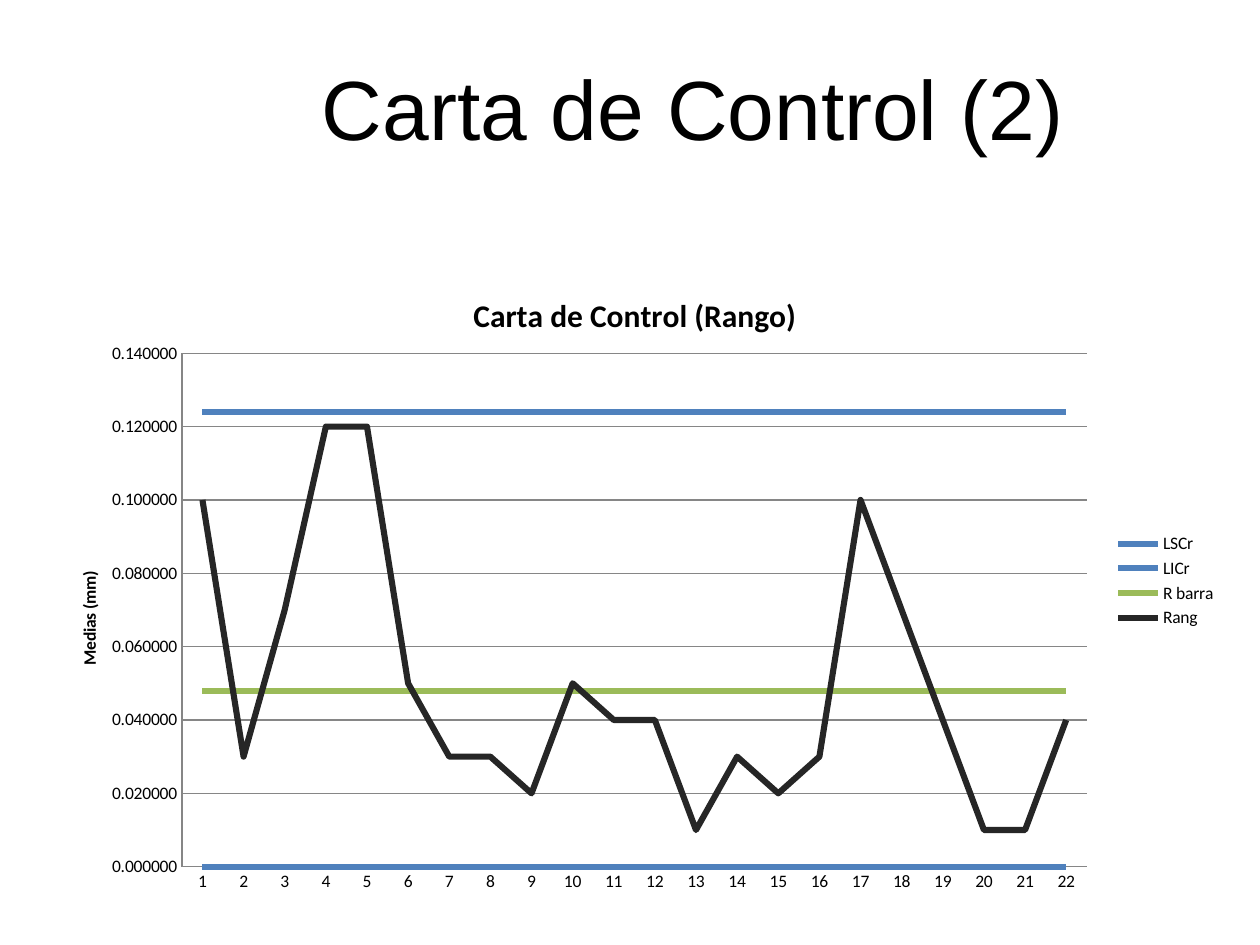
from lxml.etree import SubElement
from pptx import Presentation
from pptx.chart.data import CategoryChartData
from pptx.dml.color import RGBColor
from pptx.enum.chart import XL_CHART_TYPE, XL_LEGEND_POSITION, XL_MARKER_STYLE, XL_TICK_MARK
from pptx.enum.text import MSO_ANCHOR, PP_ALIGN
from pptx.oxml.ns import qn
from pptx.util import Inches, Pt

BLACK = RGBColor(0x00, 0x00, 0x00)
GRAY = RGBColor(0x86, 0x86, 0x86)
BLUE = RGBColor(0x4F, 0x81, 0xBD)
GREEN = RGBColor(0x9B, 0xBB, 0x59)
CHARCOAL = RGBColor(0x26, 0x26, 0x26)

RANGES = [0.1, 0.03, 0.07, 0.12, 0.12, 0.05, 0.03, 0.03, 0.02, 0.05, 0.04,
          0.04, 0.01, 0.03, 0.02, 0.03, 0.1, 0.07, 0.04, 0.01, 0.01, 0.04]
SAMPLES = len(RANGES)
CONTROL_LINES = [
    ("LSCr", [0.124] * SAMPLES, BLUE),
    ("LICr", [0] * SAMPLES, BLUE),
    ("R barra", [0.048] * SAMPLES, GREEN),
    ("Rang", RANGES, CHARCOAL),
]


def style_font(font, name, size, bold=False):
    font.name = name
    font.size = Pt(size)
    font.bold = bold
    font.color.rgb = BLACK


def place_in_chart(element, index, **shares):
    for previous in element.findall(qn("c:layout")):
        element.remove(previous)
    layout = SubElement(element, qn("c:layout"))
    element.insert(index, layout)
    manual = SubElement(layout, qn("c:manualLayout"))
    if "w" in shares:
        SubElement(manual, qn("c:layoutTarget")).set("val", "inner")
    for side in ("x", "y"):
        SubElement(manual, qn(f"c:{side}Mode")).set("val", "edge")
    for side, share in shares.items():
        SubElement(manual, qn(f"c:{side}")).set("val", str(share))


def write_heading(heading, text):
    heading.left, heading.top = Inches(2.42), Inches(0.39)
    heading.width, heading.height = Inches(6.16), Inches(0.91)
    frame = heading.text_frame
    frame.text = text
    frame.word_wrap = False
    frame.vertical_anchor = MSO_ANCHOR.MIDDLE
    paragraph = frame.paragraphs[0]
    paragraph.alignment = PP_ALIGN.CENTER
    style_font(paragraph.font, "Arial", 48)


def write_chart_title(title, text, size, x, y):
    title.text_frame.text = text
    style_font(title.text_frame.paragraphs[0].font, "Calibri", size, bold=True)
    place_in_chart(title.element if hasattr(title, "element") else title._element,
                   1, x=x, y=y)


def style_axis(axis):
    axis.major_tick_mark = XL_TICK_MARK.NONE
    axis.minor_tick_mark = XL_TICK_MARK.NONE
    axis.format.line.color.rgb = GRAY
    axis.format.line.width = Pt(0.75)


def style_value_axis(axis):
    style_axis(axis)
    axis.minimum_scale, axis.maximum_scale = 0, 0.14
    axis.major_unit = 0.02
    axis.has_major_gridlines = True
    axis.major_gridlines.format.line.color.rgb = GRAY
    axis.major_gridlines.format.line.width = Pt(0.75)
    axis.tick_labels.number_format = "0.000000"
    axis.tick_labels.number_format_is_linked = False
    write_chart_title(axis.axis_title, "Medias (mm)", 10, x=0.03, y=0.48)


def add_control_chart(slide):
    control_data = CategoryChartData(number_format="0.000000")
    control_data.categories = [str(sample + 1) for sample in range(SAMPLES)]
    for name, values, _ in CONTROL_LINES:
        control_data.add_series(name, values)
    chart = slide.shapes.add_chart(
        XL_CHART_TYPE.LINE, Inches(0.31), Inches(2.03),
        Inches(9.45), Inches(5.16), control_data).chart
    style_font(chart.font, "Calibri", 10)
    chart.has_title = True
    write_chart_title(chart.chart_title, "Carta de Control (Rango)", 18, x=0.36, y=0.05)
    chart.chart_title.include_text_frame = True
    chart.has_legend = True
    chart.legend.position = XL_LEGEND_POSITION.RIGHT
    chart.legend.include_in_layout = False
    style_axis(chart.category_axis)
    style_value_axis(chart.value_axis)
    plot = chart.plots[0]
    plot.vary_by_categories = False
    for series, (_, _, color) in zip(plot.series, CONTROL_LINES):
        series.smooth = False
        series.marker.style = XL_MARKER_STYLE.NONE
        series.format.line.color.rgb = color
        series.format.line.width = Pt(3.5)
    plot_area = next(chart.element.iter(qn("c:plotArea")))
    place_in_chart(plot_area, 0, x=0.12, y=0.15, w=0.76, h=0.79)


def main():
    deck = Presentation()
    deck.slide_width, deck.slide_height = Inches(10), Inches(7.5)
    slide = deck.slides.add_slide(deck.slide_layouts[5])
    write_heading(slide.shapes.title, "Carta de Control (2)")
    add_control_chart(slide)
    deck.save("out.pptx")


if __name__ == "__main__":
    main()
